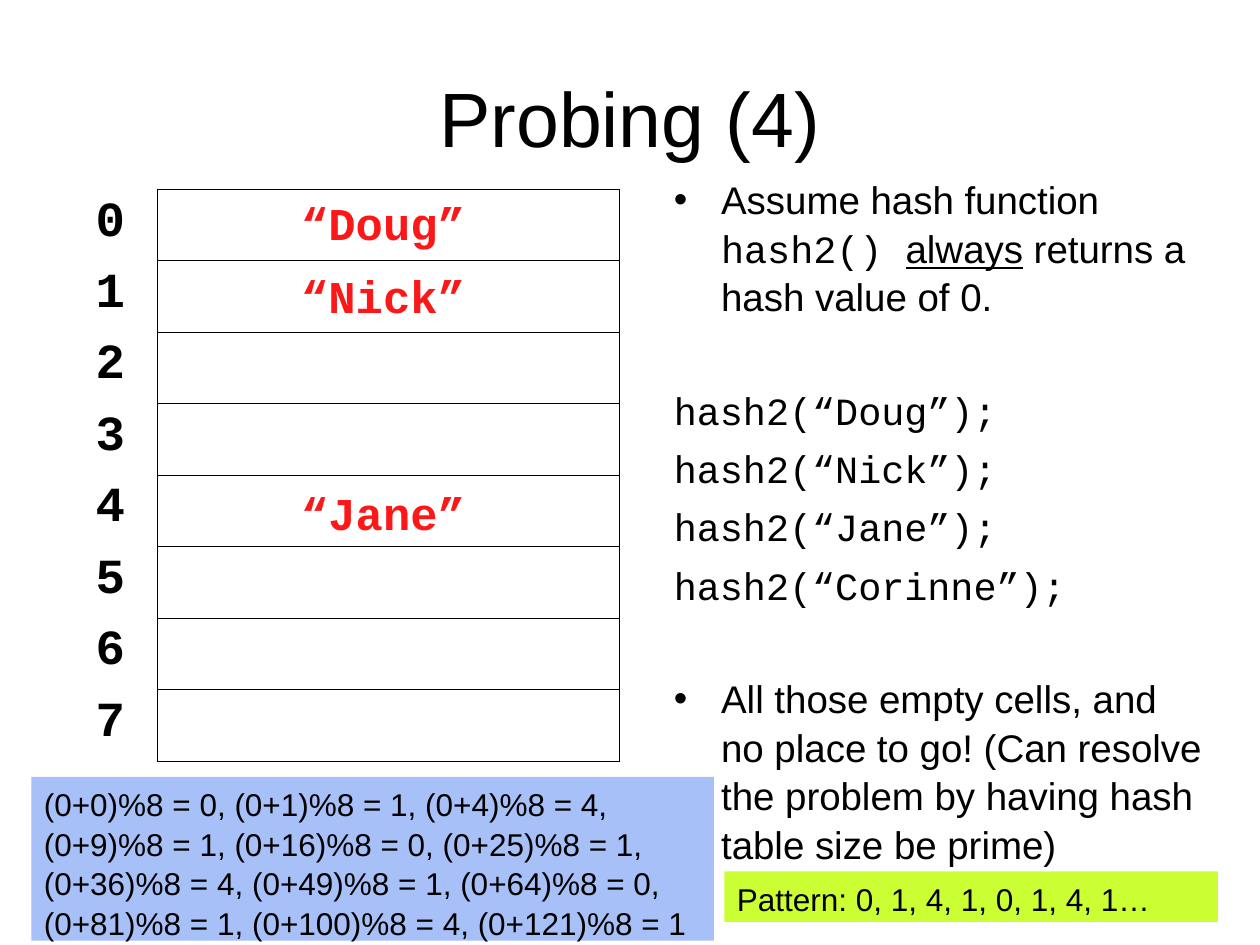
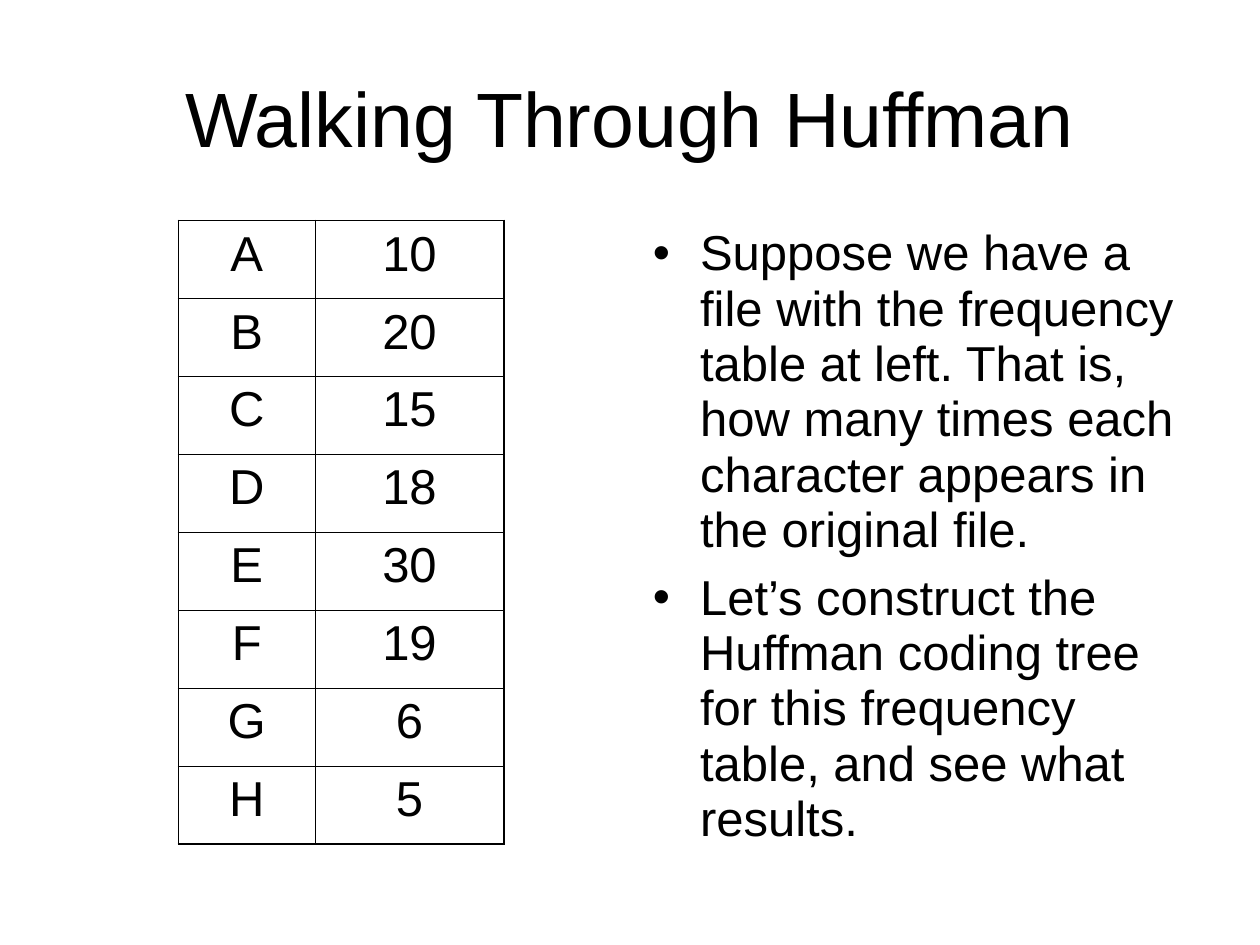
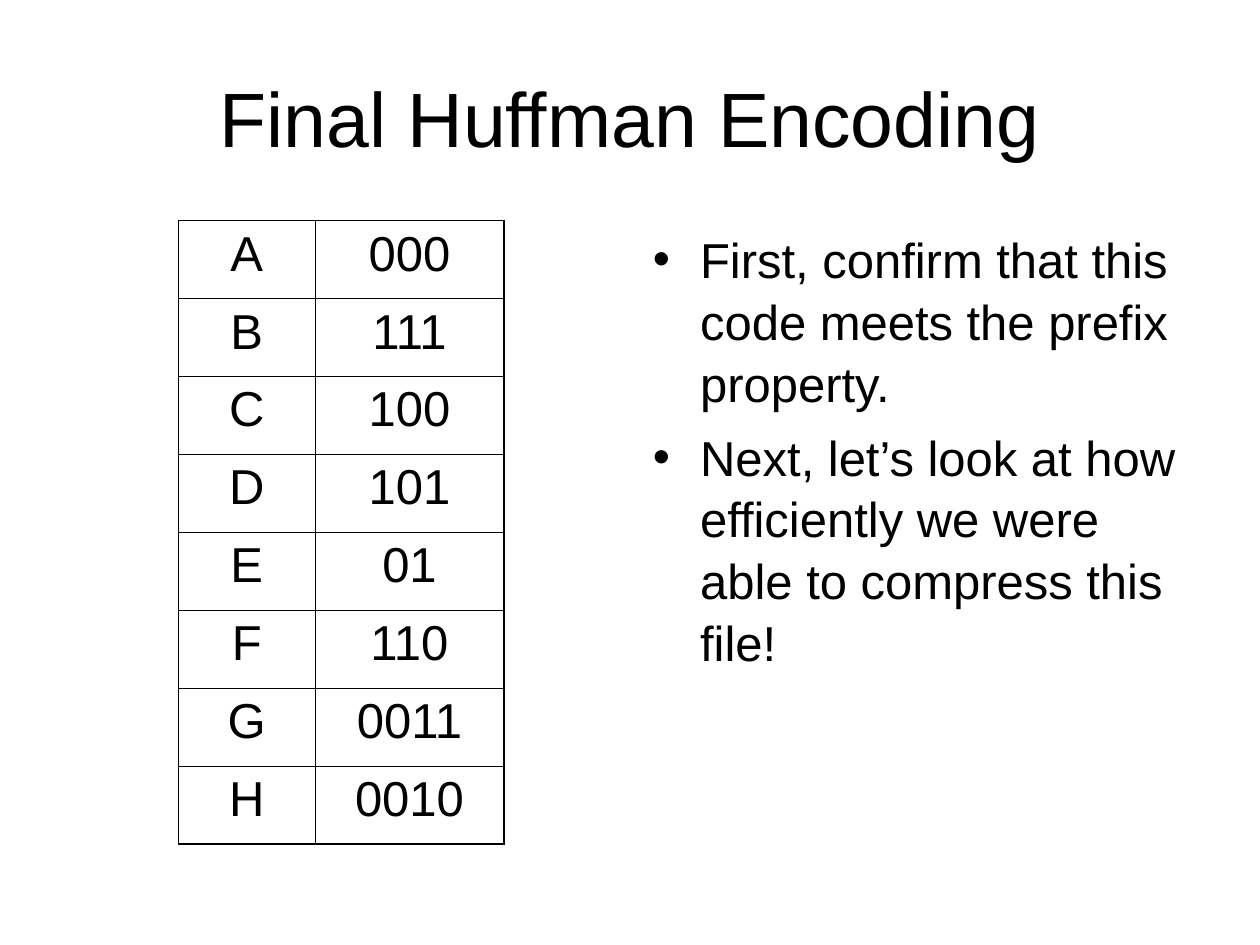
from lxml import etree
from pptx import Presentation
from pptx.dml.color import RGBColor
from pptx.enum.shapes import MSO_SHAPE
from pptx.enum.text import MSO_ANCHOR, MSO_AUTO_SIZE, PP_ALIGN
from pptx.oxml.ns import qn
from pptx.util import Pt

RECTANGLE = MSO_SHAPE.RECTANGLE
TOP, MIDDLE = MSO_ANCHOR.TOP, MSO_ANCHOR.MIDDLE
LEFT, CENTER = PP_ALIGN.LEFT, PP_ALIGN.CENTER
GROW = MSO_AUTO_SIZE.SHAPE_TO_FIT_TEXT

# Shared look
SANS, MONO = "Arial", "Courier New"
BLACK, RED, BLUE, LIME = "000000", "FC1818", "A7C0F7", "CCFF33"
THIN, THICK = 0.45, 1.08
HANG = 27
LINE = 1.05
TITLE_BOX = (36, 21.6, 648, 90)
TABLE_BOX = (102, 126, 186, 356.4)
BODY_BOX = (366, 126, 318, 356.4)


def color(value):
    return RGBColor.from_string(value)


def add_span(para, text, size, font=SANS, ink=BLACK, bold=False, underline=False):
    span = para.add_run()
    span.text = text
    span.font.size = Pt(size)
    span.font.name = font
    span.font.bold = bold
    span.font.color.rgb = color(ink)
    if underline:
        span.font.underline = True


def add_box(page, box, anchor=TOP):
    shape = page.shapes.add_textbox(*map(Pt, box))
    shape.text_frame.word_wrap = True
    shape.text_frame.vertical_anchor = anchor
    return shape.text_frame


def add_title(page, text):
    para = add_box(page, TITLE_BOX, MIDDLE).paragraphs[0]
    para.alignment = CENTER
    add_span(para, text, 44)


def hang(para, bullet):
    """Give a paragraph its hanging indent, with or without a bullet."""
    props = para._p.get_or_add_pPr()
    props.set("marL", str(Pt(HANG)))
    props.set("indent", str(-Pt(HANG)))
    if bullet:
        tint = etree.SubElement(props, qn("a:buClr"))
        etree.SubElement(tint, qn("a:srgbClr")).set("val", BLACK)
        etree.SubElement(props, qn("a:buFont")).set("typeface", SANS)
        etree.SubElement(props, qn("a:buChar")).set("char", "•")
    else:
        etree.SubElement(props, qn("a:buNone"))


def add_body(page, box, items, size, line=LINE):
    """Each item is (bullet, space before, [(text, span options)])."""
    frame = add_box(page, box)
    for i, (bullet, before, spans) in enumerate(items):
        para = frame.add_paragraph() if i else frame.paragraphs[0]
        para.line_spacing = line
        para.space_before = Pt(before)
        hang(para, bullet)
        for text, options in spans:
            add_span(para, text, size, **options)


def set_borders(cell, widths):
    """Draw left, right, top and bottom edges; a width of 0 draws none."""
    props = cell._tc.get_or_add_tcPr()
    for edge, width in zip(("lnL", "lnR", "lnT", "lnB"), widths):
        line = etree.SubElement(props, qn("a:" + edge))
        line.set("w", str(Pt(width)))
        if width:
            fill = etree.SubElement(line, qn("a:solidFill"))
            etree.SubElement(fill, qn("a:srgbClr")).set("val", BLACK)
        else:
            etree.SubElement(line, qn("a:noFill"))


def add_grid(page, box, widths, rows, border_rule, **font):
    """border_rule(row, column) gives the four edge widths of a cell."""
    table = page.shapes.add_table(len(rows), len(widths), *map(Pt, box)).table
    table.first_row = table.horz_banding = False
    for column, width in zip(table.columns, widths):
        column.width = Pt(width)
    for r, values in enumerate(rows):
        table.rows[r].height = Pt(box[3] / len(rows))
        for c, value in enumerate(values):
            cell = table.cell(r, c)
            set_borders(cell, border_rule(r, c))
            cell.fill.background()
            para = cell.text_frame.paragraphs[0]
            para.alignment = CENTER
            para.space_before = Pt(7)
            if value:
                add_span(para, value, 28, **font)


def add_hash_table(page, box, names):
    """Eight numbered slots, with the stored names laid over them."""
    left, top, width, height = box
    index_width, slots = 54, 8

    def borders(row, column):
        return (THIN,) * 4 if column else (0, THIN, 0, 0)

    rows = [(str(i), "") for i in range(slots)]
    add_grid(page, box, (index_width, width - index_width), rows, borders,
             font=MONO, bold=True)
    for slot, name in names.items():
        frame = add_box(page, (left + 72, top + slot * 41.4, 222, 39))
        frame.auto_size = GROW
        para = frame.paragraphs[0]
        para.alignment = CENTER
        para.space_before = Pt(16.2)
        add_span(para, name, 26, MONO, RED, True)


def add_callout(page, box, fill, text):
    shape = page.shapes.add_shape(RECTANGLE, *map(Pt, box))
    shape.shadow.inherit = False
    shape.fill.solid()
    shape.fill.fore_color.rgb = color(fill)
    shape.line.fill.background()
    frame = shape.text_frame
    frame.word_wrap = True
    frame.auto_size = GROW
    frame.vertical_anchor = TOP
    para = frame.paragraphs[0]
    para.alignment = LEFT
    para.space_before = Pt(11.2)
    para.line_spacing = LINE
    add_span(para, text, 18)


def probing_slide(page):
    mono = {"font": MONO}
    wide, narrow = 37.4, 5.5
    add_title(page, "Probing (4)")
    intro = [("Assume hash function ", {}), ("hash2() ", mono),
             ("always", {"underline": True}), (" returns a hash value of 0.", {})]
    calls = [(False, narrow if i else wide, [(f"hash2(“{name}”);", mono)])
             for i, name in enumerate(("Doug", "Nick", "Jane", "Corinne"))]
    ending = ("All those empty cells, and no place to go! "
              "(Can resolve the problem by having hash table size be prime)")
    add_body(page, (378, 96, 318, 396),
             [(True, narrow, intro), *calls, (True, wide, [(ending, {})])], 22)
    add_hash_table(page, (36, 108, 318, 326.4),
                   {0: "“Doug”", 1: "“Nick”", 4: "“Jane”"})
    # Probe sequence and its pattern
    probes = ", ".join(f"(0+{i * i})%8 = {i * i % 8}" for i in range(12))
    add_callout(page, (18, 444, 390, 93.6), BLUE, probes)
    add_callout(page, (414, 498, 282, 28.8), LIME,
                "Pattern: 0, 1, 4, 1, 0, 1, 4, 1…")


def huffman_slide(page, title, values, points, line=LINE):
    """A letter table at left, bullet points at right."""
    add_title(page, title)
    add_body(page, BODY_BOX, [(True, 7, [(point, {})]) for point in points], 28, line)
    last = len(values) - 1

    def borders(row, column):
        return (THIN if column else THICK, THICK if column else THIN,
                THIN if row else THICK, THICK if row == last else THIN)

    add_grid(page, TABLE_BOX, (78, 108), list(zip("ABCDEFGH", values)), borders)


deck = Presentation()
deck.slide_width, deck.slide_height = Pt(720), Pt(540)
blank = deck.slide_layouts[6]

probing_slide(deck.slides.add_slide(blank))
huffman_slide(
    deck.slides.add_slide(blank), "Walking Through Huffman",
    ("10", "20", "15", "18", "30", "19", "6", "5"),
    ("Suppose we have a file with the frequency table at left. That is, "
     "how many times each character appears in the original file.",
     "Let’s construct the Huffman coding tree for this frequency table, "
     "and see what results."), 0.94)
huffman_slide(
    deck.slides.add_slide(blank), "Final Huffman Encoding",
    ("000", "111", "100", "101", "01", "110", "0011", "0010"),
    ("First, confirm that this code meets the prefix property.",
     "Next, let’s look at how efficiently we were able to compress this file!"))

deck.save("out.pptx")
